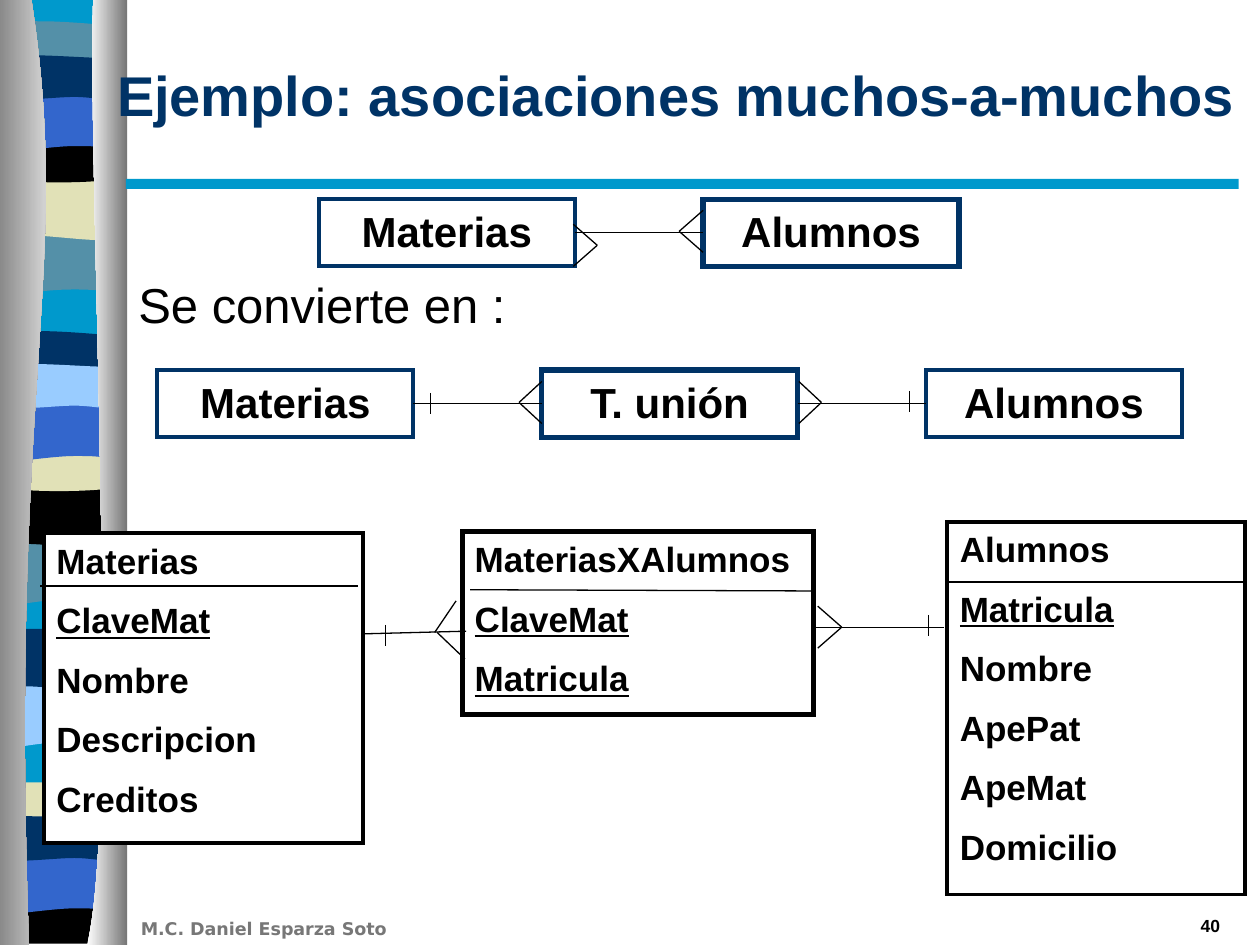
from dataclasses import dataclass, field

from lxml.etree import SubElement
from pptx import Presentation
from pptx.dml.color import RGBColor as RGB
from pptx.enum.shapes import MSO_CONNECTOR as CONNECTOR, MSO_SHAPE as SHAPE
from pptx.enum.text import MSO_ANCHOR as ANCHOR, PP_ALIGN as ALIGN
from pptx.oxml.ns import qn
from pptx.util import Pt


def type_style(size, bold=True, name="Arial"):
    return {"name": name, "size": Pt(size), "bold": bold}


@dataclass(frozen=True)
class Theme:
    navy: RGB = RGB(0x00, 0x33, 0x66)
    cyan: RGB = RGB(0x00, 0x99, 0xCC)
    teal: RGB = RGB(0x54, 0x90, 0xA8)
    sand: RGB = RGB(0xE1, 0xE1, 0xB7)
    blue: RGB = RGB(0x33, 0x66, 0xCC)
    sky: RGB = RGB(0x99, 0xCC, 0xFF)
    black: RGB = RGB(0, 0, 0)
    white: RGB = RGB(0xFF, 0xFF, 0xFF)
    rail: RGB = RGB(0x76, 0x76, 0x76)
    footer_gray: RGB = RGB(0x77, 0x77, 0x77)
    title: dict = field(default_factory=lambda: type_style(32))
    body: dict = field(default_factory=lambda: type_style(28, False))
    entity: dict = field(default_factory=lambda: type_style(24))
    column: dict = field(default_factory=lambda: type_style(20))
    footer: dict = field(default_factory=lambda: type_style(10, name="DejaVu Sans"))
    number: dict = field(default_factory=lambda: type_style(10))


THEME = Theme()
LEFT, RIGHT = -3.6, 70.6

# Outlines relative to the band's top: pairs are line ends, sixes are Bézier curves.
BANDS = {
    "swell": [(RIGHT, 0), (RIGHT, 34), (19.4, 28, 9.4, 39.6, LEFT, 34), (LEFT, 0)],
    "ripple": [(RIGHT, 0), (RIGHT, 34), (58.3, 39.6, 19.4, 29.5, LEFT, 34), (LEFT, 0)],
    "thin": [(RIGHT, 0), (RIGHT, 17.3), (58.3, 20.9, 9.4, 20.9, LEFT, 17.3), (LEFT, 0),
             (1.4, -3.6, 13, -2.9, 25.2, -2.9), (37.4, -2.9, 61.2, -0.7, RIGHT, 0)],
    "dip": [(RIGHT, 0), (RIGHT, 23.4), (58.3, 27.4, 9.4, 27.4, LEFT, 23.4), (LEFT, 0),
            (42.5, 3.6, 55.4, 0, RIGHT, 0)],
    "arch": [(RIGHT, 0), (RIGHT, 34), (59, 30.2, 54.7, 30.2, 42.5, 30.2),
             (30.2, 30.2, 7.9, 34, LEFT, 34), (LEFT, 0)],
    "wave": [(RIGHT, 0), (RIGHT, 22.3), (66.2, 25.9, 54.7, 22.3, 42.5, 22.3),
             (30.2, 22.3, 4.3, 25.9, LEFT, 22.3), (LEFT, 0), (7.2, -3.6, 46.8, 0, 59, 0),
             (71.3, 0, 67.7, 0, RIGHT, 0)],
    "foot": [(RIGHT, 0), (RIGHT, 26.6), (LEFT, 26.6), (LEFT, 0),
             (42.5, 3.6, 55.4, 0, RIGHT, 0)],
}
BAND_STACK = [
    ("swell", 133.2, THEME.teal), ("ripple", 101.5, THEME.sand), ("thin", 15.1, THEME.teal),
    ("dip", 77.8, THEME.black), ("arch", 53.3, THEME.blue), ("wave", 33.1, THEME.navy),
    ("swell", 310.3, THEME.teal), ("ripple", 277.9, THEME.black), ("thin", 192.2, THEME.navy),
    ("dip", 254.2, THEME.sand), ("arch", 230.4, THEME.blue), ("wave", 209.5, THEME.sky),
    ("swell", 391.7, THEME.sky), ("ripple", 359.3, THEME.navy), ("thin", 450, THEME.sand),
    ("foot", 512.6, THEME.black), ("arch", 488.9, THEME.blue), ("wave", 468, THEME.navy),
]
LEFT_RAIL = [(18, 0), (41.8, 155.5, 5, 213, 16.6, 540), (-7, 540), (-7, 0)]
RIGHT_RAIL = [(53.3, 0), (49.7, 90, 69.1, 465, 49.7, 540), (72.7, 540), (72.7, 0)]


def add_outline(slide, outline, top=0):
    """Draw a closed outline, turning each six-number step into a cubic curve."""
    points = [(Pt(step[i]), Pt(step[i + 1] + top))
              for step in outline for i in range(0, len(step), 2)]
    builder = slide.shapes.build_freeform(*points[0])
    builder.add_line_segments(points[1:], close=True)
    shape = builder.convert_to_shape()
    shape.shadow.inherit = False
    shape.line.fill.background()
    segments = iter(list(shape._element.iter(qn("a:lnTo"))))
    for step in outline[1:]:
        segment = next(segments)
        if len(step) == 6:
            segment.tag = qn("a:cubicBezTo")
            for _ in range(2):
                extra = next(segments)
                segment.append(extra[0])
                extra.getparent().remove(extra)
    return shape


def add_border_art(slide):
    backing = [(RIGHT, 0), (RIGHT, 538), (LEFT, 538), (LEFT, 0)]
    for outline, top, color in [(backing, 0, THEME.cyan)] + [
            (BANDS[name], top, color) for name, top, color in BAND_STACK]:
        fill = add_outline(slide, outline, top).fill
        fill.solid()
        fill.fore_color.rgb = color
    for outline, colors in ((LEFT_RAIL, (THEME.rail, THEME.white)),
                            (RIGHT_RAIL, (THEME.white, THEME.rail))):
        fill = add_outline(slide, outline).fill
        fill.gradient()
        fill.gradient_angle = 0
        for stop, color in zip(fill.gradient_stops, colors):
            stop.color.rgb = color


def write(shape, lines, style, color=THEME.black, align=ALIGN.LEFT, anchor=ANCHOR.TOP,
          gap=0, keys=()):
    """Fill a shape with one paragraph per line; lines in keys are underlined."""
    frame = shape.text_frame
    frame.word_wrap = True
    frame.vertical_anchor = anchor
    for index, line in enumerate(lines):
        paragraph = frame.paragraphs[0] if index == 0 else frame.add_paragraph()
        paragraph.alignment = align
        if index:
            paragraph.space_before = Pt(gap)
        run = paragraph.add_run()
        run.text = line
        for name, value in style.items():
            setattr(run.font, name, value)
        run.font.color.rgb = color
        if line in keys:
            run.font.underline = True


def add_text(slide, box, text, style, **options):
    write(slide.shapes.add_textbox(*map(Pt, box)), [text], style, **options)


def add_box(slide, box, fill=None, line=None, weight=0):
    shape = slide.shapes.add_shape(SHAPE.RECTANGLE, *map(Pt, box))
    shape.shadow.inherit = False
    if fill is None:
        shape.fill.background()
    else:
        shape.fill.solid()
        shape.fill.fore_color.rgb = fill
    if line is None:
        shape.line.fill.background()
    else:
        shape.line.color.rgb = line
        shape.line.width = Pt(weight)
        SubElement(shape._element.spPr.find(qn("a:ln")), qn("a:miter"), lim="800000")
    return shape


def add_entity(slide, left, top, name, weight=2.25):
    shape = add_box(slide, (left, top, 146.2, 38.4), line=THEME.navy, weight=weight)
    write(shape, [name], THEME.entity, align=ALIGN.CENTER)
    return shape


def add_table_box(slide, box, columns, keys, fill=THEME.white, weight=2.25):
    shape = add_box(slide, box, fill, THEME.black, weight)
    write(shape, columns, THEME.column, gap=10, keys=keys)


def add_line(slide, x1, y1, x2, y2):
    line = slide.shapes.add_connector(CONNECTOR.STRAIGHT, *map(Pt, (x1, y1, x2, y2)))
    line.line.color.rgb = THEME.black
    line.line.width = Pt(0.75)
    SubElement(line._element.spPr, qn("a:effectLst"))
    return line


def join(slide, left_box, right_box):
    line = add_line(slide, 0, 0, 0, 0)
    line.begin_connect(left_box, 3)
    line.end_connect(right_box, 1)


def add_crow_foot(slide, tip, base, y):
    for spread in (-12, 12):
        add_line(slide, tip, y, base, y + spread)


def add_tick(slide, x, y):
    add_line(slide, x, y - 6.1, x, y + 6.1)


def add_many_to_many(slide):
    subjects = add_entity(slide, 182.2, 113.8, "Materias")
    students = add_entity(slide, 401.8, 113.8, "Alumnos", 3)
    join(slide, subjects, students)
    add_crow_foot(slide, 388.1, 401.8, 132.2)
    add_crow_foot(slide, 341.3, 327.6, 140.2)


def add_union(slide):
    subjects, union, students = (
        add_entity(slide, 90 + 219.6 * index, 211.5, name, weight)
        for index, (name, weight) in enumerate(
            (("Materias", 2.25), ("T. unión", 3), ("Alumnos", 2.25))))
    join(slide, subjects, union)
    join(slide, union, students)
    add_crow_foot(slide, 296.6, 309.6, 230)
    add_crow_foot(slide, 469.4, 456.5, 230)
    add_tick(slide, 246.2, 230.6)
    add_tick(slide, 519.8, 229.5)


def add_tables(slide):
    add_table_box(slide, (25.2, 304.6, 182.2, 177.1),
                  ["Materias", "ClaveMat", "Nombre", "Descripcion", "Creditos"], ["ClaveMat"])
    add_table_box(slide, (264.2, 303.8, 200.9, 104.4),
                  ["MateriasXAlumnos", "ClaveMat", "Matricula"], ["ClaveMat", "Matricula"],
                  weight=3)
    add_table_box(slide, (541.4, 298.1, 169.9, 213.1),
                  ["Alumnos", "Matricula", "Nombre", "ApePat", "ApeMat", "Domicilio"],
                  ["Matricula"], fill=None)
    header_rules = [(23, 334.8, 204.5, 334.8), (268.6, 337, 465.1, 337.7),
                    (541.4, 332.6, 711.4, 332.6)]
    links = [(266.4, 360.7, 208.1, 362.2), (465.8, 358.6, 539.3, 358.6)]
    slanted_foot = [(260.6, 343.4, 248.4, 361.4), (249.8, 361.4, 265.7, 376.6)]
    for ends in header_rules + links + slanted_foot:
        add_line(slide, *ends)
    add_crow_foot(slide, 481, 467.3, 358.4)
    add_tick(slide, 220.3, 363.2)
    add_tick(slide, 530.6, 357.5)


def main():
    presentation = Presentation()
    presentation.slide_width, presentation.slide_height = Pt(720), Pt(540)
    slide = presentation.slides.add_slide(presentation.slide_layouts[6])
    add_border_art(slide)
    add_box(slide, (72, 102.2, 635.8, 5.8), THEME.cyan)
    add_text(slide, (73.4, 521.3, 203.8, 19.4), "M.C. Daniel Esparza Soto", THEME.footer,
             color=THEME.footer_gray)
    add_text(slide, (554.4, 519.1, 149.8, 18.7), "40", THEME.number, align=ALIGN.RIGHT)
    add_text(slide, (59.8, 8.6, 660.2, 90), "Ejemplo: asociaciones muchos-a-muchos",
             THEME.title, color=THEME.navy, anchor=ANCHOR.MIDDLE)
    add_text(slide, (72, 153.4, 632, 40), "Se convierte en :", THEME.body)
    add_many_to_many(slide)
    add_union(slide)
    add_tables(slide)
    presentation.save("out.pptx")


if __name__ == "__main__":
    main()
